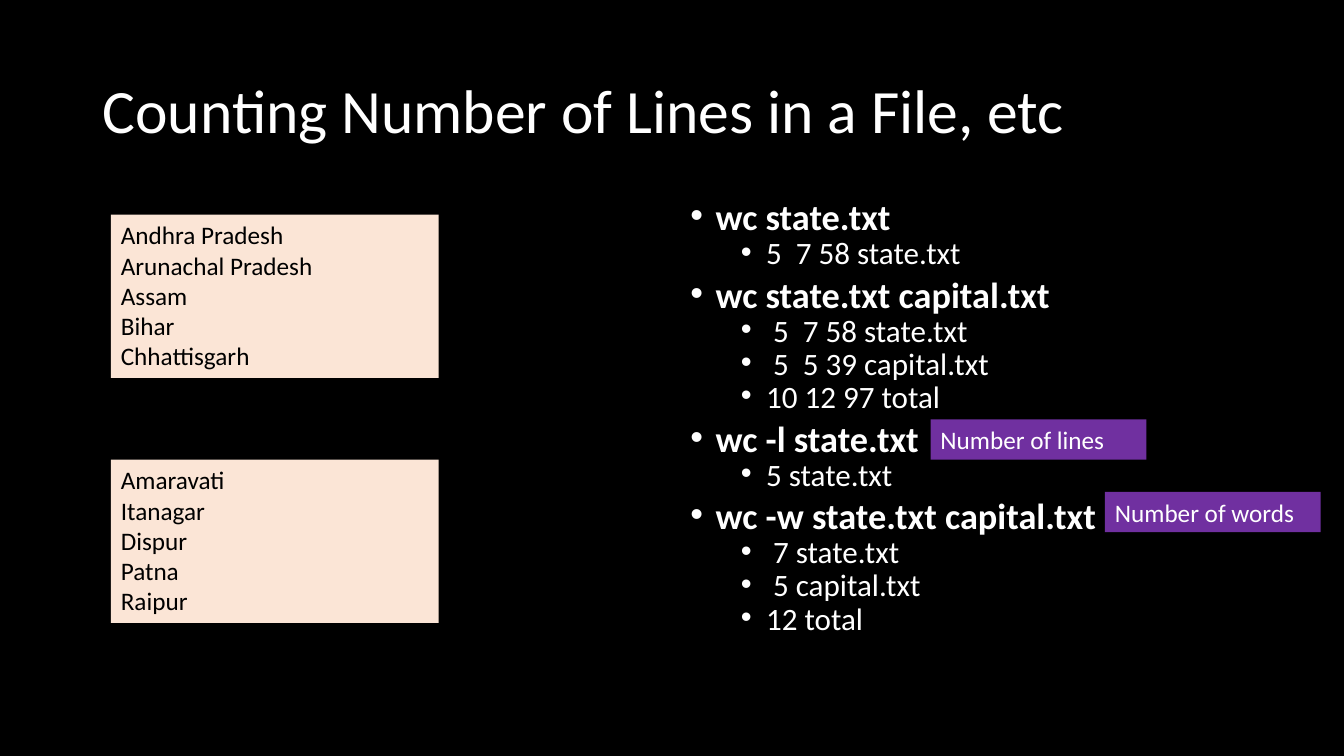
import dataclasses
import pptx
import pptx.dml.color
import pptx.enum.shapes
import pptx.enum.text
import pptx.oxml
import pptx.util
from pptx.util import Inches

RGB = pptx.dml.color.RGBColor.from_string
ANCHOR = pptx.enum.text.MSO_ANCHOR


@dataclasses.dataclass
class Theme:
    """Colours, font and type sizes of the slide."""
    font: str = "Calibri"
    back: str = "000000"
    light: str = "FFFFFF"
    dark: str = "000000"
    peach: str = "FBE5D6"
    purple: str = "7030A0"
    title: float = 44
    head: float = 25.9
    item: float = 22.2
    note: float = 18


class Deck:
    """Draws each kind of element on the current slide."""

    def __init__(self, theme):
        self.theme = theme
        self.show = pptx.Presentation()
        self.show.slide_width = Inches(13.33)
        self.show.slide_height = Inches(7.5)
        self.slide = self.show.slides.add_slide(self.show.slide_layouts[6])
        self.paint(self.slide.background.fill, theme.back)

    def paint(self, fill, color):
        """Fill with one solid colour."""
        fill.solid()
        fill.fore_color.rgb = RGB(color)

    def style(self, para, text, size, color, bold=False):
        """Set the text and font of a paragraph."""
        para.text = text
        para.alignment = pptx.enum.text.PP_ALIGN.LEFT
        font = para.font
        font.name, font.bold = self.theme.font, bold
        font.size = pptx.util.Pt(size)
        font.color.rgb = RGB(color)

    def frame(self, shape, anchor=ANCHOR.TOP):
        """Return the wrapping text frame of a shape."""
        frame = shape.text_frame
        frame.word_wrap = True
        frame.vertical_anchor = anchor
        return frame

    def paras(self, frame, lines):
        """Yield one paragraph for each line."""
        for i, line in enumerate(lines):
            yield (frame.add_paragraph() if i else frame.paragraphs[0]), line

    def title(self, text, *area):
        """Add the slide title."""
        box = self.slide.shapes.add_textbox(*map(Inches, area))
        para = self.frame(box, ANCHOR.MIDDLE).paragraphs[0]
        para.line_spacing = 0.9
        self.style(para, text, self.theme.title, self.theme.light)

    def bullets(self, groups, *area):
        """Add bold commands, each with its output as sub-bullets."""
        box = self.slide.shapes.add_textbox(*map(Inches, area))
        rows = [(level, text) for head, items in groups
                for level, text in [(0, head)] + [(1, item) for item in items]]
        for i, (para, (level, text)) in enumerate(self.paras(self.frame(box), rows)):
            para.level = level
            para.line_spacing = 0.7
            para.space_before = pptx.util.Pt((5 if level else 10) if i else 0)
            props = para._p.get_or_add_pPr()
            props.set("marL", str(Inches(0.75 if level else 0.25)))
            props.set("indent", str(Inches(-0.25)))
            for tag, name, value in (("buFont", "typeface", "Arial"), ("buChar", "char", "•")):
                mark = pptx.oxml.xmlchemy.OxmlElement(f"a:{tag}")
                mark.set(name, value)
                props.append(mark)
            size = self.theme.item if level else self.theme.head
            self.style(para, text, size, self.theme.light, not level)

    def panel(self, lines, fill, color, *area):
        """Add a filled rectangle holding lines of text."""
        kind = pptx.enum.shapes.MSO_SHAPE.RECTANGLE
        box = self.slide.shapes.add_shape(kind, *map(Inches, area))
        box.shadow.inherit = False
        box.line.fill.background()
        self.paint(box.fill, fill)
        for para, line in self.paras(self.frame(box), lines):
            self.style(para, line, self.theme.note, color)


STATES = ["Andhra Pradesh", "Arunachal Pradesh", "Assam", "Bihar", "Chhattisgarh"]
TOWNS = ["Amaravati", "Itanagar", "Dispur", "Patna", "Raipur"]
RUNS = [
    ("wc state.txt", ["5  7 58 state.txt"]),
    ("wc state.txt capital.txt",
     [" 5  7 58 state.txt", " 5  5 39 capital.txt", "10 12 97 total"]),
    ("wc -l state.txt", ["5 state.txt"]),
    ("wc -w state.txt capital.txt", [" 7 state.txt", " 5 capital.txt", "12 total"]),
]


def main():
    """Build and save the slide."""
    theme = Theme()
    deck = Deck(theme)
    deck.title("Counting Number of Lines in a File, etc", 0.92, 0.4, 11.5, 1.45)
    deck.bullets(RUNS, 6.75, 2, 5.67, 4.76)
    for lines, top in ((STATES, 2.13), (TOWNS, 4.56)):
        deck.panel(lines, theme.peach, theme.dark, 1.1, top, 3.25, 1.62)
    for note, left, top in (("Number of lines", 9.23, 4.16), ("Number of words", 10.96, 4.88)):
        deck.panel([note], theme.purple, theme.light, left, top, 2.14, 0.4)
    deck.show.save("out.pptx")


if __name__ == "__main__":
    main()
